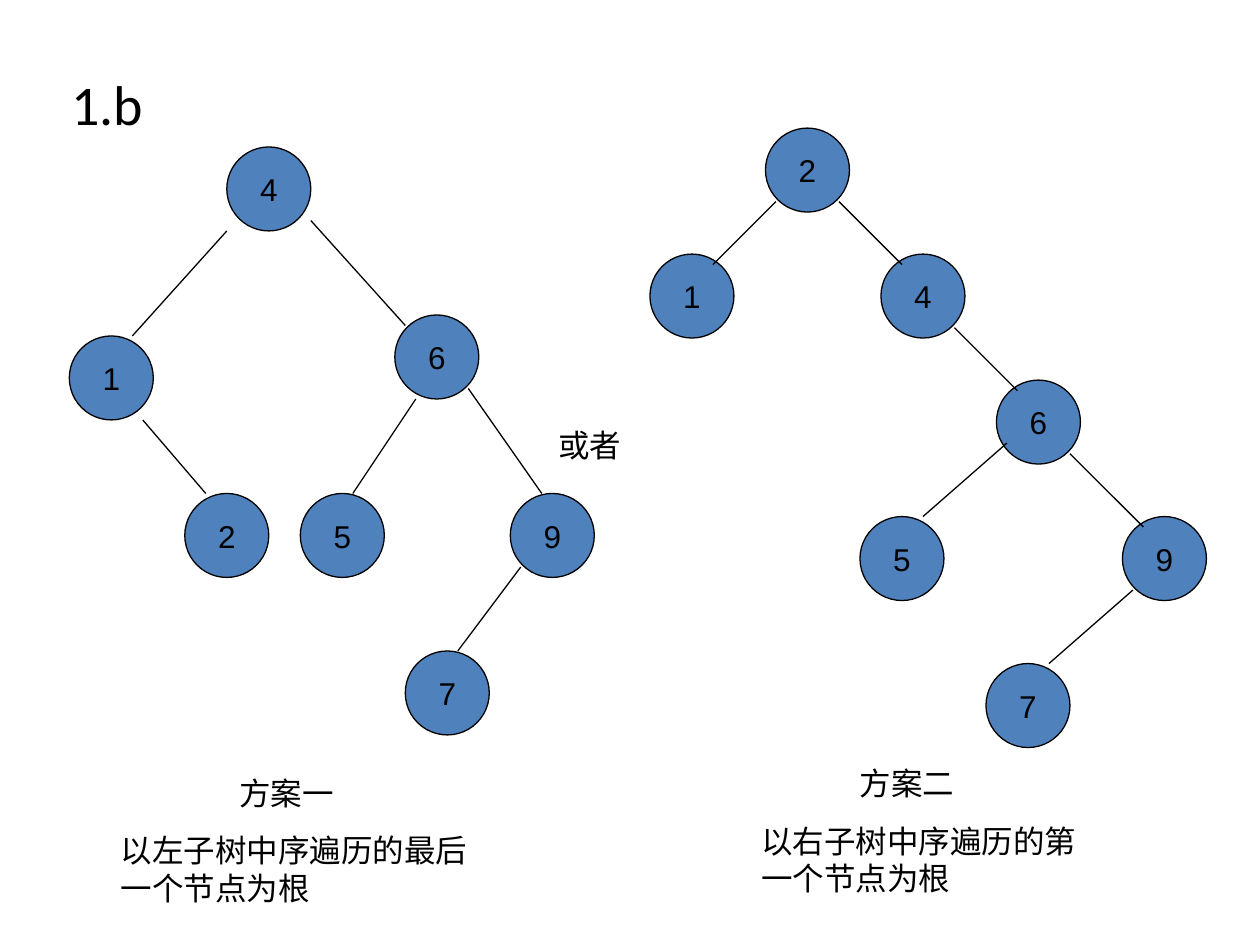
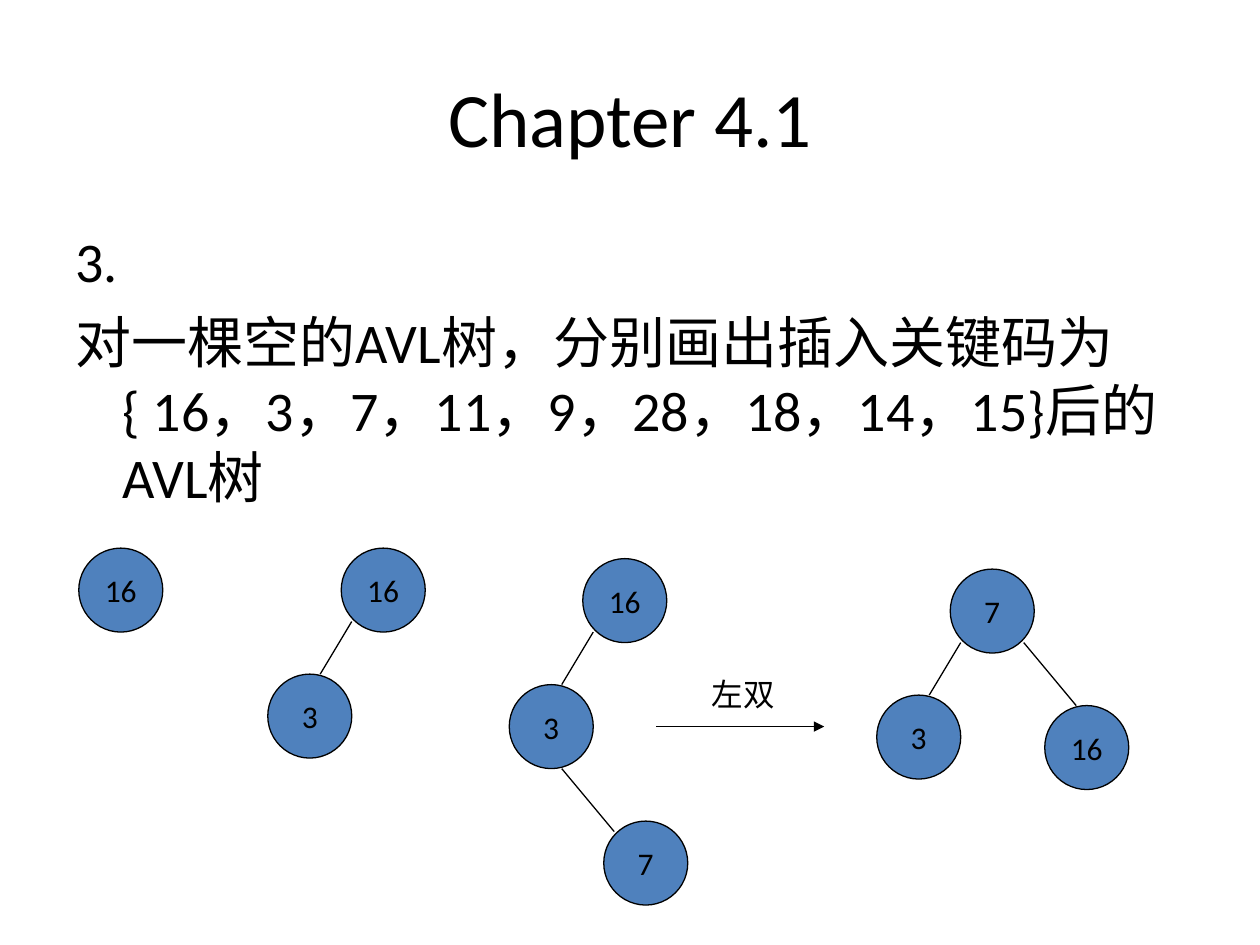
from dataclasses import dataclass

from lxml import etree
from pptx import Presentation
from pptx import util as u
from pptx.dml.color import RGBColor
from pptx.enum import shapes, text
from pptx.oxml import ns


@dataclass(frozen=True)
class Theme:
    ink: RGBColor = RGBColor(0x00, 0x00, 0x00)
    node_fill: RGBColor = RGBColor(0x4F, 0x81, 0xBD)
    text_font: str = "Calibri"
    tree_font: str = "Arial"
    title_size: int = 44
    body_size: int = 32
    label_size: int = 18
    body_gap: int = 8
    label_gap: float = 11.2
    line_width: float = 0.75


class Deck:
    COLUMNS = 120
    ROWS = 90
    NODE = 8
    HANGING = 4.5

    def __init__(self, theme):
        self.theme = theme
        self.presentation = Presentation()
        self.presentation.slide_width = u.Inches(10)
        self.presentation.slide_height = u.Inches(7.5)
        self.slide = None

    def add_slide(self):
        self.slide = self.presentation.slides.add_slide(self.presentation.slide_layouts[6])

    def x(self, columns):
        return round(self.presentation.slide_width * columns / self.COLUMNS)

    def y(self, rows):
        return round(self.presentation.slide_height * rows / self.ROWS)

    def box(self, column, row, columns, rows):
        return self.x(column), self.y(row), self.x(columns), self.y(rows)

    def style(self, paragraph, size, font):
        for run in paragraph.runs:
            run.font.size = u.Pt(size)
            run.font.name = font
            run.font.color.rgb = self.theme.ink

    def indent(self, paragraph, left, first=0):
        properties = paragraph._p.get_or_add_pPr()
        properties.set("marL", str(self.x(left)))
        properties.set("indent", str(self.x(first)))

    def text(self, place, lines, size, gap=0):
        shape = self.slide.shapes.add_textbox(*self.box(*place))
        frame = shape.text_frame
        frame.word_wrap = True
        frame.text = "\n".join(lines)
        for index, paragraph in enumerate(frame.paragraphs):
            if index:
                paragraph.space_before = u.Pt(gap)
            self.style(paragraph, size, self.theme.text_font)
        return frame

    def title(self, place, line):
        frame = self.text(place, [line], self.theme.title_size)
        frame.vertical_anchor = text.MSO_ANCHOR.MIDDLE
        frame.paragraphs[0].alignment = text.PP_ALIGN.CENTER

    def body(self, place, lines):
        frame = self.text(place, lines, self.theme.body_size, self.theme.body_gap)
        for paragraph in frame.paragraphs:
            self.indent(paragraph, self.HANGING, -self.HANGING)

    def label(self, place, line):
        self.text(place, [line], self.theme.label_size)

    def caption(self, place, name, explanation, name_indent):
        lines = [name, explanation]
        frame = self.text(place, lines, self.theme.label_size, self.theme.label_gap)
        self.indent(frame.paragraphs[0], name_indent)

    def node(self, column, row, key, font):
        place = self.box(column, row, self.NODE, self.NODE)
        shape = self.slide.shapes.add_shape(shapes.MSO_SHAPE.OVAL, *place)
        shape.shadow.inherit = False
        shape.fill.solid()
        shape.fill.fore_color.rgb = self.theme.node_fill
        shape.line.color.rgb = self.theme.ink
        shape.line.width = u.Pt(self.theme.line_width)
        frame = shape.text_frame
        frame.word_wrap = False
        frame.vertical_anchor = text.MSO_ANCHOR.MIDDLE
        frame.text = str(key)
        paragraph = frame.paragraphs[0]
        paragraph.alignment = text.PP_ALIGN.CENTER
        self.style(paragraph, self.theme.label_size, font)

    def line(self, start_column, start_row, end_column, end_row, arrow=False):
        connector = self.slide.shapes.add_connector(
            shapes.MSO_CONNECTOR.STRAIGHT,
            self.x(start_column), self.y(start_row), self.x(end_column), self.y(end_row))
        connector.line.color.rgb = self.theme.ink
        connector.line.width = u.Pt(self.theme.line_width)
        if arrow:
            outline = connector.line._get_or_add_ln()
            etree.SubElement(outline, ns.qn("a:tailEnd"), type="triangle")
        etree.SubElement(connector._element.spPr, ns.qn("a:effectLst"))

    def tree(self, origin, nodes, edges=(), font=None):
        left, top = origin
        for key, (column, row) in nodes.items():
            self.node(left + column, top + row, key, font or self.theme.text_font)
        for x1, y1, x2, y2 in edges:
            self.line(left + x1, top + y1, left + x2, top + y2)

    def save(self):
        self.presentation.save("out.pptx")


def add_deletion_slide(deck):
    deck.add_slide()
    deck.body((5.6, 6, 102.4, 64.3), ["1.b"])
    deck.label((52, 40, 13, 4.8), "或者")

    deck.tree(
        (6.6, 14),
        {1: (0, 18), 4: (15, 0), 6: (31, 16), 9: (42, 33), 2: (11, 33), 5: (22, 33), 7: (32, 48)},
        [(15, 8, 6, 18), (23, 7, 32, 17), (38, 23, 45, 33),
         (7, 26, 13, 33), (33, 24, 27, 33), (43, 40, 37, 48)],
        deck.theme.tree_font)
    deck.caption((10.3, 73.1, 36.6, 13.9), "方案一", "以左子树中序遍历的最后一个节点为根", 11.3)

    deck.tree(
        (61.9, 12.2),
        {2: (11, 0), 1: (0, 12), 4: (22, 12), 6: (33, 24), 9: (45, 37), 5: (20, 37), 7: (32, 51)},
        [(12, 7, 6, 13), (18, 7, 24, 13), (29, 19, 35, 25),
         (40, 31, 47, 38), (34, 30, 26, 37), (46, 44, 38, 51)],
        deck.theme.tree_font)
    deck.caption((71.3, 72.2, 34.8, 13.9), "方案二", "以右子树中序遍历的第一个节点为根", 9.4)


def add_insertion_slide(deck):
    deck.add_slide()
    deck.title((6, 3.6, 108, 15), "Chapter 4.1")
    deck.body((6, 21, 108, 30.6), [
        "3.",
        "对一棵空的AVL树，分别画出插入关键码为{ 16，3，7，11，9，28，18，14，15}后的AVL树",
    ])

    root, left_child = (7, 0), (0, 12)
    left_edge = (8, 7, 5, 12)
    deck.tree((7.5, 52.2), {16: (0, 0)})
    deck.tree((25.5, 52.2), {16: root, 3: left_child}, [left_edge])
    deck.tree((48.5, 53.2), {16: root, 3: left_child, 7: (9, 25)}, [left_edge, (5, 20, 10, 26)])
    deck.line(62.5, 69.2, 78.5, 69.2, arrow=True)
    deck.label((66.6, 63.7, 9, 4.8), "左双")
    deck.tree((83.5, 54.2), {7: root, 3: left_child, 16: (16, 13)}, [left_edge, (14, 7, 19, 13)])


def main():
    deck = Deck(Theme())
    add_deletion_slide(deck)
    add_insertion_slide(deck)
    deck.save()


if __name__ == "__main__":
    main()
